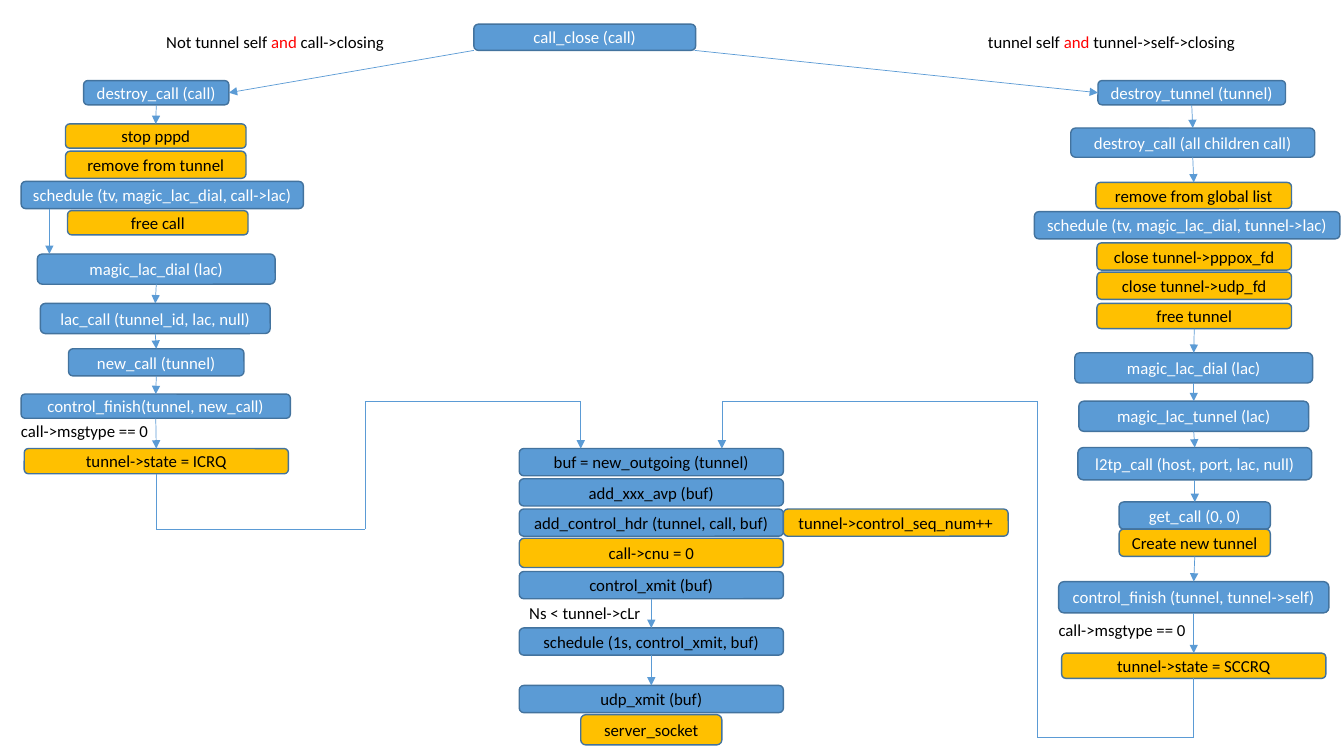
"""Draws the call and tunnel closing flow on one slide."""
from itertools import pairwise

from lxml import etree
from pptx import Presentation
from pptx.dml.color import RGBColor
from pptx.enum.shapes import MSO_CONNECTOR, MSO_SHAPE
from pptx.enum.text import MSO_ANCHOR, MSO_AUTO_SIZE, PP_ALIGN
from pptx.oxml.ns import qn
from pptx.util import Inches, Pt

BLUE = RGBColor(0x5B, 0x9B, 0xD5)
OUTLINE = RGBColor(0x43, 0x73, 0x9E)
AMBER = RGBColor(0xFF, 0xC0, 0x00)
WHITE = RGBColor(0xFF, 0xFF, 0xFF)
BLACK = RGBColor(0x00, 0x00, 0x00)
RED = RGBColor(0xFF, 0x00, 0x00)

CALL = (BLUE, WHITE)
SEND = (BLUE, BLACK)
ACTION = (AMBER, BLACK)

TOP, LEFT, BOTTOM, RIGHT = range(4)

CALL_STEPS = [
    (0.83, 0.8, 1.44, 0.24, CALL, "destroy_call (call)", False),
    (0.65, 1.23, 1.79, 0.24, ACTION, "stop pppd", True),
    (0.65, 1.5, 1.79, 0.27, ACTION, "remove from tunnel", False),
    (0.21, 1.8, 2.8, 0.27, CALL, "schedule (tv, magic_lac_dial, call->lac)", False),
    (0.67, 2.09, 1.79, 0.24, ACTION, "free call", False),
    (0.37, 2.52, 2.36, 0.3, CALL, "magic_lac_dial (lac)", False),
    (0.4, 3.01, 2.28, 0.3, CALL, "lac_call (tunnel_id, lac, null)", True),
    (0.68, 3.46, 1.74, 0.27, CALL, "new_call (tunnel)", True),
    (0.21, 3.91, 2.67, 0.24, CALL, "control_finish(tunnel, new_call)", True),
    (0.24, 4.45, 2.62, 0.25, ACTION, "tunnel->state = ICRQ", True),
]
TUNNEL_STEPS = [
    (10.89, 0.8, 1.86, 0.24, CALL, "destroy_tunnel (tunnel)", False),
    (10.62, 1.27, 2.42, 0.29, CALL, "destroy_call (all children call)", True),
    (10.87, 1.81, 1.94, 0.26, ACTION, "remove from global list", True),
    (10.26, 2.1, 3.03, 0.27, CALL, "schedule (tv, magic_lac_dial, tunnel->lac)", False),
    (10.88, 2.41, 1.93, 0.27, ACTION, "close tunnel->pppox_fd", False),
    (10.88, 2.7, 1.93, 0.27, ACTION, "close tunnel->udp_fd", False),
    (10.88, 3.01, 1.93, 0.25, ACTION, "free tunnel", False),
    (10.66, 3.5, 2.36, 0.3, CALL, "magic_lac_dial (lac)", True),
    (10.7, 3.98, 2.28, 0.3, CALL, "magic_lac_tunnel (lac)", True),
    (10.69, 4.44, 2.32, 0.32, CALL, "l2tp_call (host, port, lac, null)", True),
    (11.1, 4.98, 1.5, 0.27, CALL, "get_call (0, 0)", True),
    (11.1, 5.25, 1.5, 0.27, ACTION, "Create new tunnel", False),
    (10.5, 5.77, 2.68, 0.31, CALL, "control_finish (tunnel, tunnel->self)", True),
    (10.53, 6.48, 2.62, 0.25, ACTION, "tunnel->state = SCCRQ", True),
]
SEND_STEPS = [
    (5.15, 4.45, 2.62, 0.27, SEND, "buf = new_outgoing (tunnel)", False),
    (5.15, 4.75, 2.62, 0.27, SEND, "add_xxx_avp (buf)", False),
    (5.15, 5.05, 2.62, 0.27, SEND, "add_control_hdr (tunnel, call, buf)", False),
    (5.15, 5.34, 2.62, 0.29, ACTION, "call->cnu = 0", False),
    (5.15, 5.67, 2.62, 0.27, SEND, "control_xmit (buf)", False),
    (5.15, 6.23, 2.62, 0.27, SEND, "schedule (1s, control_xmit, buf)", True),
    (5.15, 6.8, 2.62, 0.27, SEND, "udp_xmit (buf)", True),
    (5.76, 7.09, 1.4, 0.3, ACTION, "server_socket", False),
]
CONDITIONS = [
    (1.55, 0.27, 2.38, [("Not tunnel self ", BLACK), ("and ", RED), ("call->closing", BLACK)]),
    (9.7, 0.27, 2.68, [("tunnel self ", BLACK), ("and", RED), (" tunnel->self->closing", BLACK)]),
    (0.11, 4.12, 1.48, [("call->msgtype == 0", BLACK)]),
    (10.4, 6.1, 1.48, [("call->msgtype == 0", BLACK)]),
    (5.15, 5.93, 1.32, [("Ns < tunnel->cLr", BLACK)]),
]
CALL_ROUTE = [(1.55, 4.7), (1.55, 5.25), (3.62, 5.25), (3.62, 3.98), (5.76, 3.98), (5.76, 4.45)]
TUNNEL_ROUTE = [(11.84, 6.73), (11.84, 7.32), (10.29, 7.32), (10.29, 3.98), (7.16, 3.98), (7.16, 4.45)]


def apply(target, formats):
    for attribute, value in formats.items():
        setattr(target, attribute, value)


class FlowSlide:
    """Holds the text style and the slide being drawn."""

    font = {"name": "Calibri", "size": Pt(12)}
    box_frame = {"vertical_anchor": MSO_ANCHOR.MIDDLE, "word_wrap": True}
    label_frame = {"word_wrap": False, "auto_size": MSO_AUTO_SIZE.SHAPE_TO_FIT_TEXT}

    def __init__(self, slide):
        self.shapes = slide.shapes

    def add_words(self, paragraph, pieces):
        for words, color in pieces:
            run = paragraph.add_run()
            run.text = words
            apply(run.font, self.font)
            run.font.color.rgb = color

    def box(self, left, top, width, height, colors, words):
        step = self.shapes.add_shape(
            MSO_SHAPE.ROUNDED_RECTANGLE, Inches(left), Inches(top), Inches(width), Inches(height))
        fill_color, text_color = colors
        step.shadow.inherit = False
        step.fill.solid()
        step.fill.fore_color.rgb = fill_color
        step.line.color.rgb = OUTLINE
        step.line.width = Pt(1)
        apply(step.text_frame, self.box_frame)
        paragraph = step.text_frame.paragraphs[0]
        paragraph.alignment = PP_ALIGN.CENTER
        self.add_words(paragraph, [(words, text_color)])
        return step

    def label(self, left, top, width, pieces):
        condition = self.shapes.add_textbox(Inches(left), Inches(top), Inches(width), Inches(0.3))
        apply(condition.text_frame, self.label_frame)
        self.add_words(condition.text_frame.paragraphs[0], pieces)

    def line(self, start=(0, 0), end=(0, 0), begin_at=None, end_at=None, arrow=True):
        link = self.shapes.add_connector(
            MSO_CONNECTOR.STRAIGHT, *(Inches(value) for value in (*start, *end)))
        if begin_at:
            link.begin_connect(*begin_at)
        if end_at:
            link.end_connect(*end_at)
        link.line.color.rgb = BLUE
        link.line.width = Pt(0.5)
        properties = link.line._get_or_add_ln()
        if arrow:
            etree.SubElement(properties, qn("a:tailEnd"), type="triangle")
        etree.SubElement(properties.getparent(), qn("a:effectLst"))

    def column(self, steps):
        boxes = []
        for *look, linked in steps:
            boxes.append(self.box(*look))
            if linked:
                self.line(begin_at=(boxes[-2], BOTTOM), end_at=(boxes[-1], TOP))
        return boxes

    def route(self, points, source):
        legs = list(pairwise(points))
        for number, (start, end) in enumerate(legs):
            self.line(start, end, begin_at=None if number else (source, BOTTOM),
                      arrow=number == len(legs) - 1)


def main():
    presentation = Presentation()
    presentation.slide_width = Inches(13.33)
    presentation.slide_height = Inches(7.5)
    flow = FlowSlide(presentation.slides.add_slide(presentation.slide_layouts[6]))

    flow.box(4.7, 0.24, 2.2, 0.26, CALL, "call_close (call)")
    call_boxes = flow.column(CALL_STEPS)
    tunnel_boxes = flow.column(TUNNEL_STEPS)
    flow.column(SEND_STEPS)
    flow.box(7.77, 5.05, 2.23, 0.27, ACTION, "tunnel->control_seq_num++")

    flow.line(start=(4.7, 0.5), end_at=(call_boxes[0], RIGHT))
    flow.line(start=(6.89, 0.5), end_at=(tunnel_boxes[0], LEFT))
    flow.line(start=(0.49, 2.07), end=(0.49, 2.52))
    flow.route(CALL_ROUTE, call_boxes[-1])
    flow.route(TUNNEL_ROUTE, tunnel_boxes[-1])

    for condition in CONDITIONS:
        flow.label(*condition)
    presentation.save("out.pptx")


if __name__ == "__main__":
    main()
